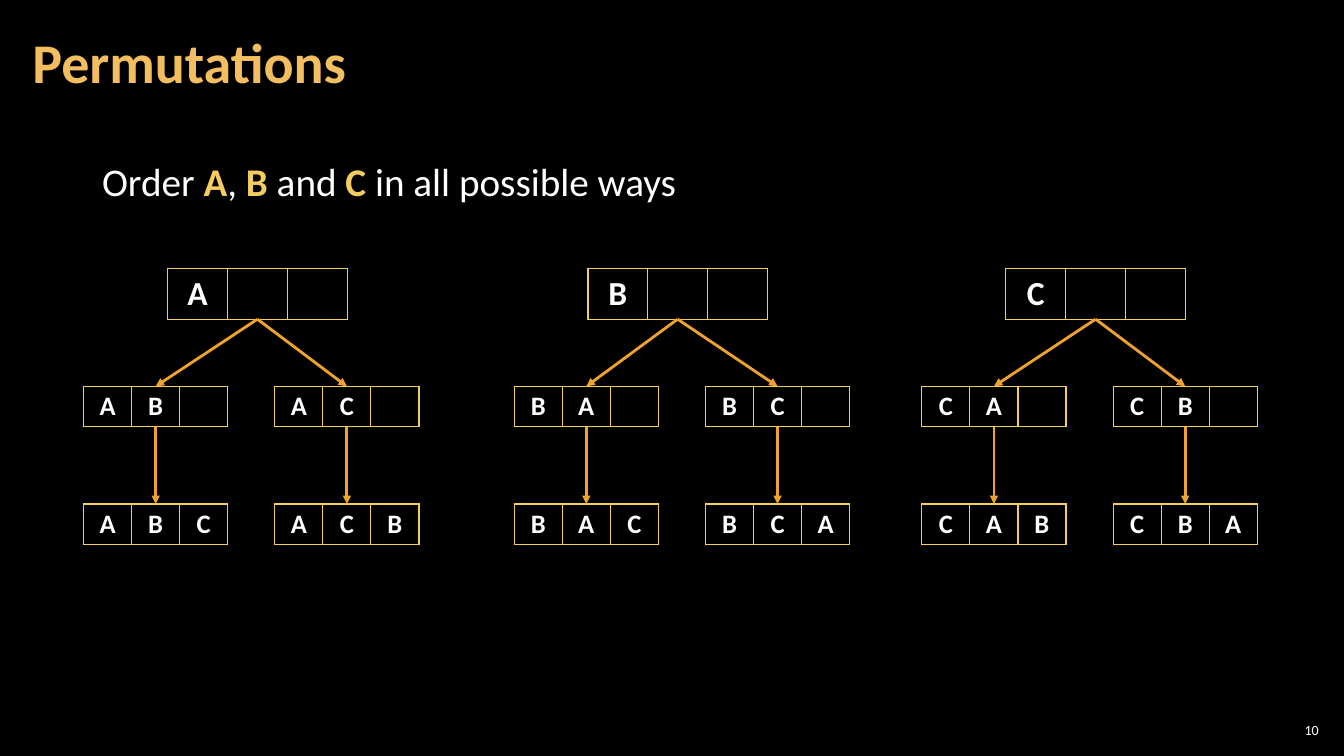
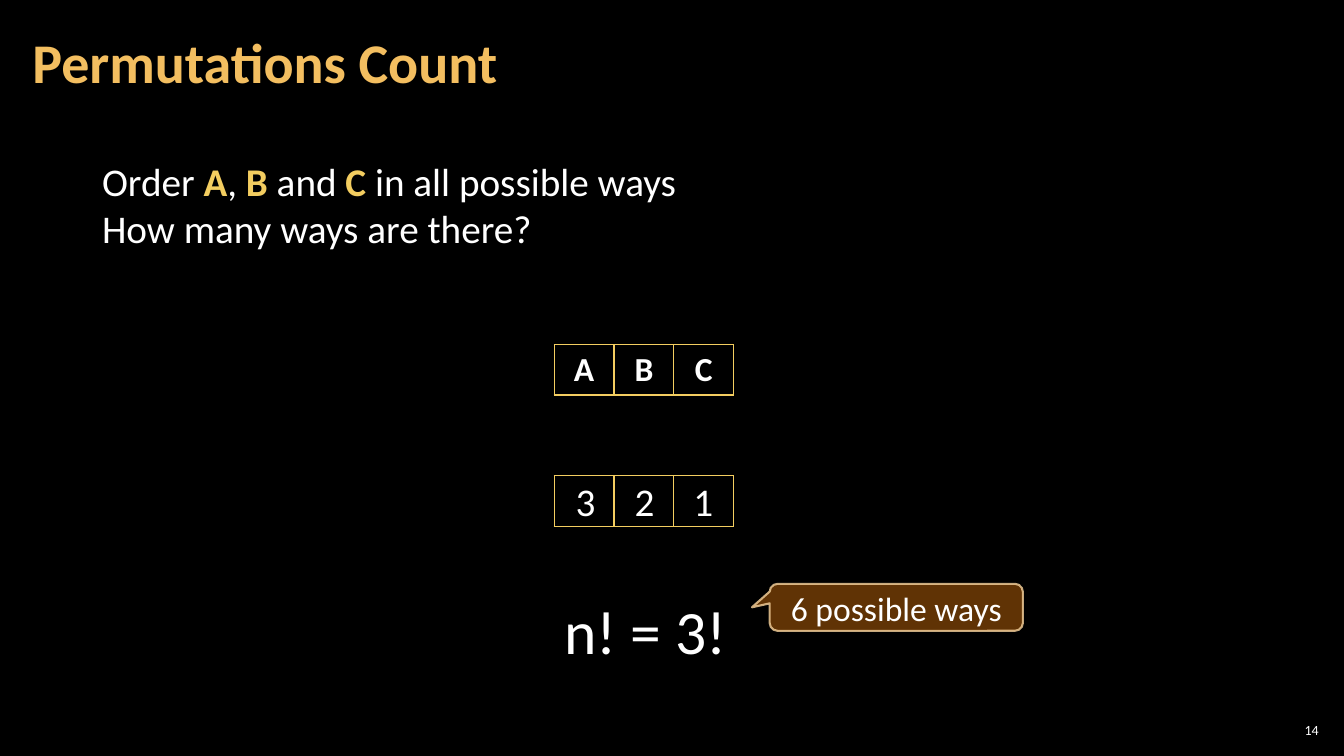
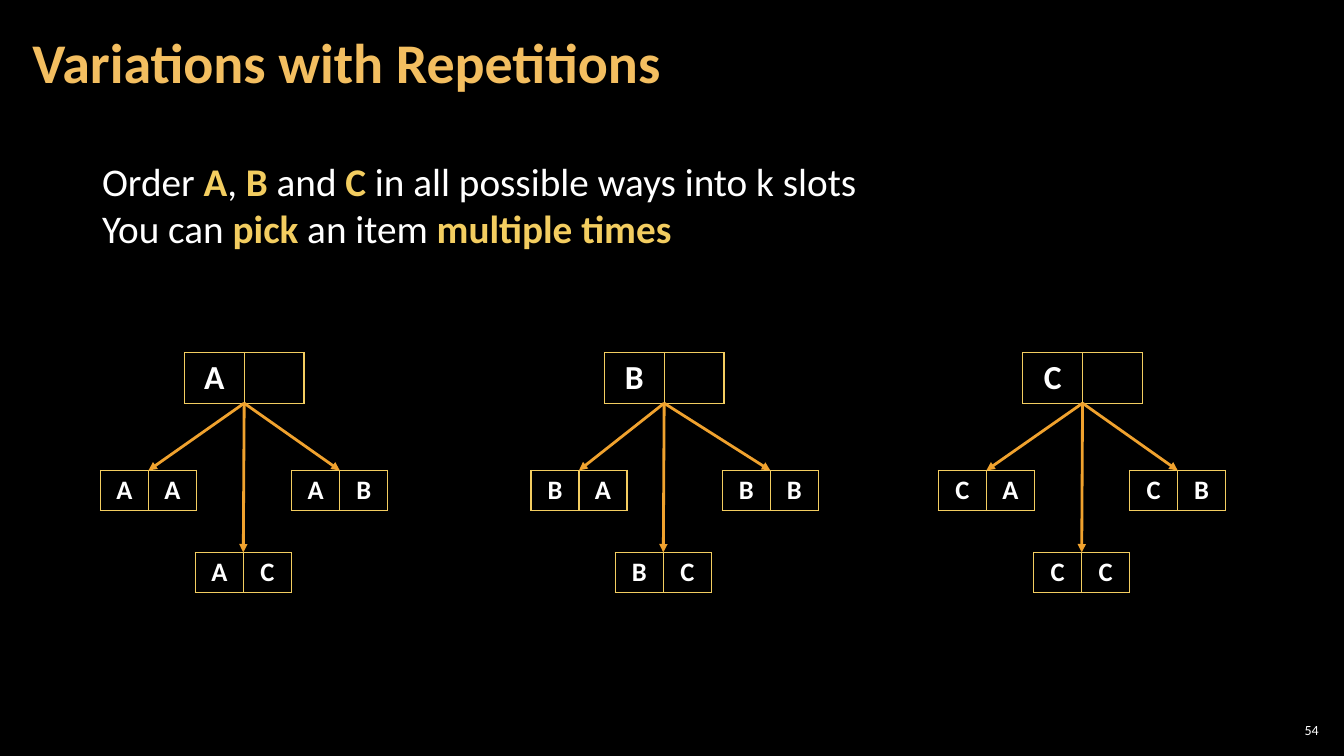
from lxml import etree
from pptx import Presentation, util as u
from pptx.dml.color import RGBColor
from pptx.enum import shapes, text
from pptx.oxml.ns import qn

# Shared look
BLACK = RGBColor(0x00, 0x00, 0x00)
WHITE = RGBColor(0xFF, 0xFF, 0xFF)
TITLE_GOLD = RGBColor(0xF3, 0xBE, 0x60)
GOLD = RGBColor(0xF3, 0xCD, 0x60)
ORANGE = RGBColor(0xF0, 0xA2, 0x2E)
BROWN = RGBColor(0x66, 0x36, 0x06)
SAND = RGBColor(0xF8, 0xD4, 0x9E)
FONT = "Calibri"

# Slide grid: 160 columns by 90 rows of square units
COLS, ROWS = 160, 90
UNIT = u.Inches(7.5) / ROWS

# Cell width, cell height and text size
BIG = (7.12, 6, 24)
SMALL = (5.72, 4.8, 19)
SIBLING_GAP = 22.77  # between the centres of the outer branches


def g(n):
    """Length of n grid units."""
    return u.Emu(round(n * UNIT))


def write(p, content, size=28, color=WHITE, bold=False, align=None, spacing=None):
    """Fill a paragraph; parts between asterisks are bold and gold."""
    p.alignment = align
    if spacing:
        p.line_spacing = spacing
    for i, part in enumerate(content.split("*")):
        if not part:
            continue
        marked = i % 2 == 1
        r = p.add_run()
        r.text = part
        r.font.name = FONT
        r.font.size = u.Pt(size)
        r.font.bold = bold or marked
        r.font.color.rgb = GOLD if marked else color


def set_alpha(fill_xml, percent):
    clr = fill_xml.find(".//" + qn("a:srgbClr"))
    etree.SubElement(clr, qn("a:alpha"), val=str(percent * 1000))


def add_text(s, lines, x, y, w, h, wrap=True, inset=None, **fmt):
    tf = s.shapes.add_textbox(g(x), g(y), g(w), g(h)).text_frame
    tf.word_wrap = wrap
    if inset is None:
        tf.auto_size = text.MSO_AUTO_SIZE.SHAPE_TO_FIT_TEXT
    else:
        tf.margin_left = tf.margin_right = g(inset)
        tf.margin_top = tf.margin_bottom = g(inset)
        tf.vertical_anchor = text.MSO_ANCHOR.MIDDLE
    for i, line in enumerate(lines):
        write(tf.add_paragraph() if i else tf.paragraphs[0], line, **fmt)


def style_cell(cell):
    """Gold border on every side, no fill."""
    cell.margin_left = cell.margin_right = g(0.5)
    cell.margin_top = cell.margin_bottom = 0
    cell.vertical_anchor = text.MSO_ANCHOR.MIDDLE
    tcPr = cell._tc.get_or_add_tcPr()
    for side in ("lnL", "lnR", "lnT", "lnB"):
        ln = etree.SubElement(tcPr, qn("a:" + side), w=str(u.Pt(1)))
        fill = etree.SubElement(ln, qn("a:solidFill"))
        etree.SubElement(fill, qn("a:srgbClr"), val=str(GOLD))
    cell.fill.background()


def add_slots(s, letters, cx, y, kind, count):
    """One-row table centred on cx, one letter per slot."""
    w, h, size = kind
    frame = s.shapes.add_table(1, count, g(cx - count * w / 2), g(y), g(count * w), g(h))
    table = frame.table
    table.first_row = table.horz_banding = False
    for col, letter in enumerate(letters.ljust(count)):
        table.columns[col].width = g(w)
        cell = table.cell(0, col)
        style_cell(cell)
        p = cell.text_frame.paragraphs[0]
        p.font.size = u.Pt(size)
        write(p, letter.strip(), size=size, bold=True, align=text.PP_ALIGN.CENTER)


def add_arrow(s, x1, y1, x2, y2):
    c = s.shapes.add_connector(shapes.MSO_CONNECTOR.STRAIGHT, g(x1), g(y1), g(x2), g(y2))
    c.line.color.rgb = ORANGE
    c.line.width = u.Pt(2)
    etree.SubElement(c.line._get_or_add_ln(), qn("a:tailEnd"), type="triangle")
    etree.SubElement(c._element.spPr, qn("a:effectLst"))


def add_child(s, letters, parent, cx, y, count):
    """Small slots with an arrow from the parent's bottom centre."""
    add_slots(s, letters, cx, y, SMALL, count)
    add_arrow(s, *parent, cx, y)
    return cx, y + SMALL[1]


def add_callout(s, content, x, y, w, h):
    sp = s.shapes.add_shape(shapes.MSO_SHAPE.ROUNDED_RECTANGULAR_CALLOUT,
                            g(x), g(y), g(w), g(h))
    sp.shadow.inherit = False
    sp.adjustments[0], sp.adjustments[1], sp.adjustments[2] = -0.57, 0, 0.17
    sp.fill.solid()
    sp.fill.fore_color.rgb = BROWN
    sp.line.color.rgb = SAND
    sp.line.width = u.Pt(1.5)
    set_alpha(sp._element.spPr.find(qn("a:solidFill")), 95)
    set_alpha(sp.line._get_or_add_ln(), 80)
    tf = sp.text_frame
    tf.word_wrap = True
    tf.vertical_anchor = text.MSO_ANCHOR.MIDDLE
    write(tf.paragraphs[0], content, size=24, align=text.PP_ALIGN.CENTER, spacing=u.Pt(30))


def add_slide(prs, title, number, intro, intro_width=71.4):
    """Title, page number and introductory lines."""
    s = prs.slides.add_slide(prs.slide_layouts.get_by_name("Title Only"))
    sp = s.shapes.title
    sp.left, sp.top, sp.width, sp.height = g(2.46), g(0.5), g(125.6), g(14.5)
    tf = sp.text_frame
    tf.margin_left = tf.margin_right = g(1.4)
    tf.vertical_anchor = text.MSO_ANCHOR.MIDDLE
    write(tf.paragraphs[0], title, size=40, color=TITLE_GOLD, bold=True,
          align=text.PP_ALIGN.LEFT, spacing=0.9)
    add_text(s, [str(number)], 151.85, 85.7, 5.65, 2.5, inset=0.5, size=10,
             align=text.PP_ALIGN.RIGHT)
    add_text(s, intro, 10.97, 18.18, intro_width, 6.8 + 5.7 * (len(intro) - 1), wrap=False)
    return s


def permutations_slide(prs):
    s = add_slide(prs, "Permutations", 10, ["Order *A*, *B* and *C* in all possible ways"])
    top, middle, bottom = 32, 46, 60
    for root, cx, left, words in (("A", 30.65, 18.53, ("ABC", "ACB")),
                                  ("B", 80.67, 69.8, ("BAC", "BCA")),
                                  ("C", 130.43, 118.33, ("CAB", "CBA"))):
        add_slots(s, root, cx, top, BIG, 3)
        for i, word in enumerate(words):
            x = left + i * SIBLING_GAP
            node = add_child(s, word[:2], (cx, top + BIG[1]), x, middle, 3)
            add_child(s, word, node, x, bottom, 3)


def count_slide(prs):
    s = add_slide(prs, "Permutations Count", 14,
                  ["Order *A*, *B* and *C* in all possible ways", "How many ways are there?"])
    centre = 76.66
    add_slots(s, "ABC", centre, 41.03, BIG, 3)
    add_slots(s, "", centre, 56.63, BIG, 3)
    for i, choices in enumerate("321"):
        add_text(s, [choices], 67.34 + 7.02 * i, 56.2, 4.8, 6.8, wrap=False)
    add_callout(s, "6 possible ways", 91.63, 69.5, 30.15, 5.6)
    add_text(s, ["n! = 3!"], 66, 70, 25.7, 10, size=44)


def variations_slide(prs):
    s = add_slide(prs, "Variations with Repetitions", 54,
                  ["Order *A*, *B* and *C* in all possible ways into k slots",
                   "You can *pick* an item *multiple times*"], intro_width=93.1)
    top, middle, bottom = 42, 56, 65.77
    for root, cx, left in (("A", 29.07, 17.68), ("B", 79.07, 68.93), ("C", 128.88, 117.43)):
        add_slots(s, root, cx, top, BIG, 2)
        places = ((left, middle), (left + SIBLING_GAP, middle), (cx - 0.1, bottom))
        for second, (x, y) in zip("ABC", places):
            add_child(s, root + second, (cx, top + BIG[1]), x, y, 2)


def main():
    prs = Presentation()
    prs.slide_width, prs.slide_height = g(COLS), g(ROWS)
    fill = prs.slide_master.background.fill
    fill.solid()
    fill.fore_color.rgb = BLACK
    permutations_slide(prs)
    count_slide(prs)
    variations_slide(prs)
    prs.save("out.pptx")


if __name__ == "__main__":
    main()
